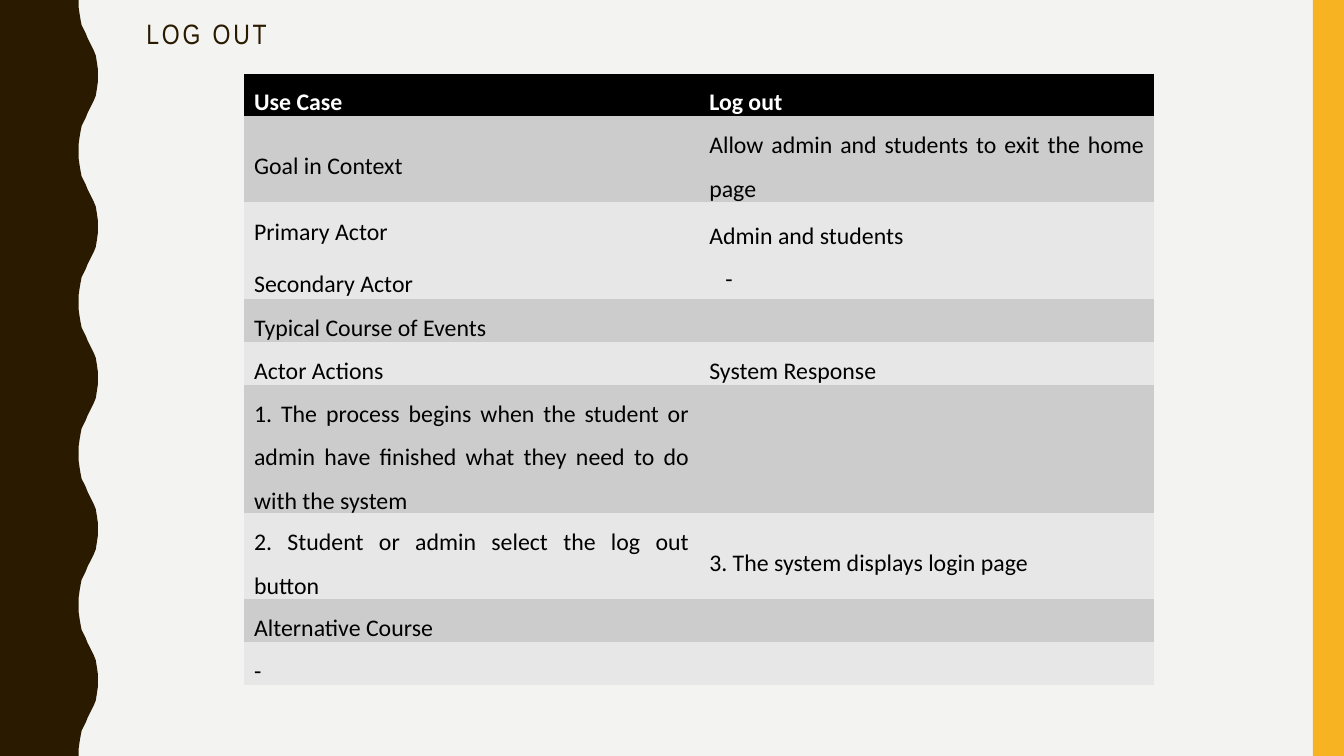
"""Build the slide that describes the log out use case."""
import pptx
import pptx.dml.color
import pptx.enum.shapes
import pptx.enum.text
import pptx.oxml.ns
import pptx.util
from pptx.util import Inches

THEME = {
    "background": "F3F3F2", "brown": "2A1A00", "yellow": "F8B323",
    "header": "000000", "bands": ("E7E7E7", "CCCCCC"),
    "header_text": "FFFFFF", "body_text": "000000",
    "title_font": "Arial Narrow", "body_font": "Calibri",
    "title_size": 20, "body_size": 17,
}
ALIGN = pptx.enum.text.PP_ALIGN
MIDDLE = pptx.enum.text.MSO_ANCHOR.MIDDLE
NO_STYLE = "{2D5ABB26-0587-4C30-8999-92F81FD0307C}"


def paint(fill, color):
    """Give a fill one solid colour."""
    fill.solid()
    fill.fore_color.rgb = pptx.dml.color.RGBColor.from_string(color)


def write(para, text, color, font_format, para_format):
    """Put one formatted span of text in a paragraph and return it."""
    span = para.add_run()
    span.text = text
    for name, value in font_format.items():
        setattr(span.font, name, value)
    for name, value in para_format.items():
        setattr(para, name, value)
    span.font.color.rgb = pptx.dml.color.RGBColor.from_string(color)
    return span


deck = pptx.Presentation()
deck.slide_width, deck.slide_height = Inches(13.33), Inches(7.5)
page = deck.slides.add_slide(deck.slide_layouts[6])
paint(page.background.fill, THEME["background"])

# Wave points are in hundredths of an inch, mirrored around the crest at 75.
half_wave = [(78, 0), (78, 7), (79, 14), (80, 20), (81, 25), (83, 29), (85, 33),
             (87, 38), (89, 42), (91, 46), (93, 50), (95, 55), (96, 61), (97, 68)]
wave = half_wave + [(97, 75)] + [(x, 150 - y) for x, y in half_wave[:0:-1]]
edge = [(x, y + 150 * turn) for turn in range(5) for x, y in wave]
builder = page.shapes.build_freeform(0, 0, scale=Inches(0.01))
builder.add_line_segments(edge + [(78, 750), (0, 750)], close=True)
wavy_band = builder.convert_to_shape()
side_bar = page.shapes.add_shape(pptx.enum.shapes.MSO_SHAPE.RECTANGLE,
                                 Inches(13.02), 0, Inches(0.31), Inches(7.5))
for shape, color in ((wavy_band, THEME["brown"]), (side_bar, THEME["yellow"])):
    paint(shape.fill, color)
    shape.line.fill.background()
    shape.shadow.inherit = False

title = page.shapes.add_textbox(Inches(0.8), Inches(0.1), Inches(2.5), Inches(0.5))
title.text_frame.word_wrap = True
title.text_frame.vertical_anchor = MIDDLE
title_span = write(title.text_frame.paragraphs[0], "LOG OUT", THEME["brown"],
                   {"name": THEME["title_font"],
                    "size": pptx.util.Pt(THEME["title_size"])},
                   {"alignment": ALIGN.CENTER, "line_spacing": 0.9})
title_span.font._element.set("spc", "200")

use_case = [
    (0.42, ["Use Case"], ["Log out"]),
    (0.84, ["Goal in Context"], ["Allow admin and students to exit the home page"]),
    (0.96, ["Primary Actor", "Secondary Actor"], ["Admin and students", "-"]),
    (0.42, ["Typical Course of Events"], None),
    (0.42, ["Actor Actions"], ["System Response"]),
    (1.26, ["1. The process begins when the student or admin have finished "
            "what they need to do with the system"], []),
    (0.8, ["2. Student or admin select the log out button"],
     ["3. The system displays login page"]),
    (0.42, ["Alternative Course"], None),
    (0.42, ["-"], None),
]
table = page.shapes.add_table(len(use_case), 2, Inches(2.42), Inches(0.73),
                              Inches(9.03), Inches(6.06)).table
table.first_row = table.horz_banding = False
table._tbl.tblPr.find(pptx.oxml.ns.qn("a:tableStyleId")).text = NO_STYLE
cell_format = {"vertical_anchor": MIDDLE, "margin_left": Inches(0.1),
               "margin_right": Inches(0.1), "margin_top": 0, "margin_bottom": 0}

for row, (height, *columns) in enumerate(use_case):
    table.rows[row].height = Inches(height)
    is_header = row == 0
    fill_color = THEME["header"] if is_header else THEME["bands"][row % 2]
    text_color = THEME["header_text"] if is_header else THEME["body_text"]
    if columns[1] is None:
        table.cell(row, 0).merge(table.cell(row, 1))
    for column, lines in enumerate(columns):
        cell = table.cell(row, column)
        paint(cell.fill, fill_color)
        for name, value in cell_format.items():
            setattr(cell, name, value)
        for index, line in enumerate(lines or []):
            frame = cell.text_frame
            para = frame.add_paragraph() if index else frame.paragraphs[0]
            write(para, line, text_color,
                  {"name": THEME["body_font"], "bold": is_header,
                   "size": pptx.util.Pt(THEME["body_size"])},
                  {"alignment": ALIGN.JUSTIFY, "line_spacing": 1.5,
                   "space_after": pptx.util.Pt(0 if column else 6)})
            if column and line == "-":
                para._p.get_or_add_pPr().set("marL", str(Inches(0.16)))

deck.save("out.pptx")
